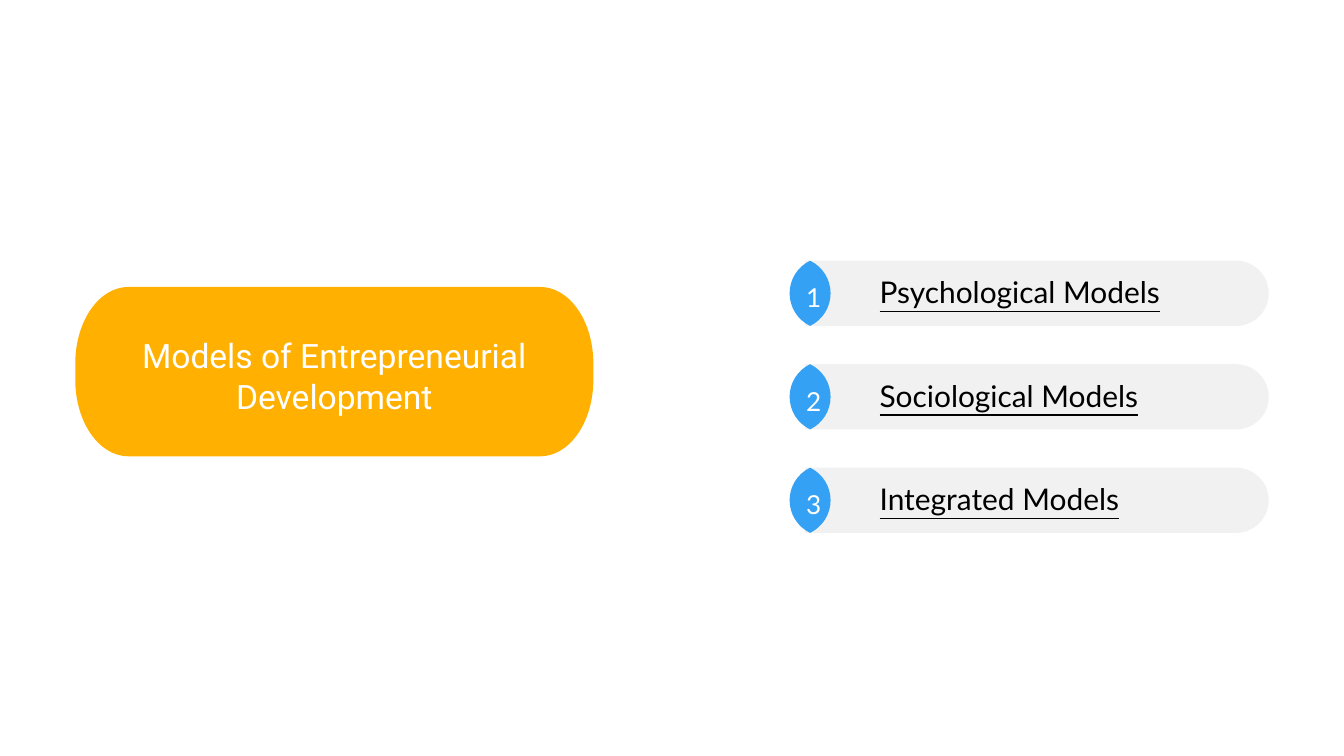
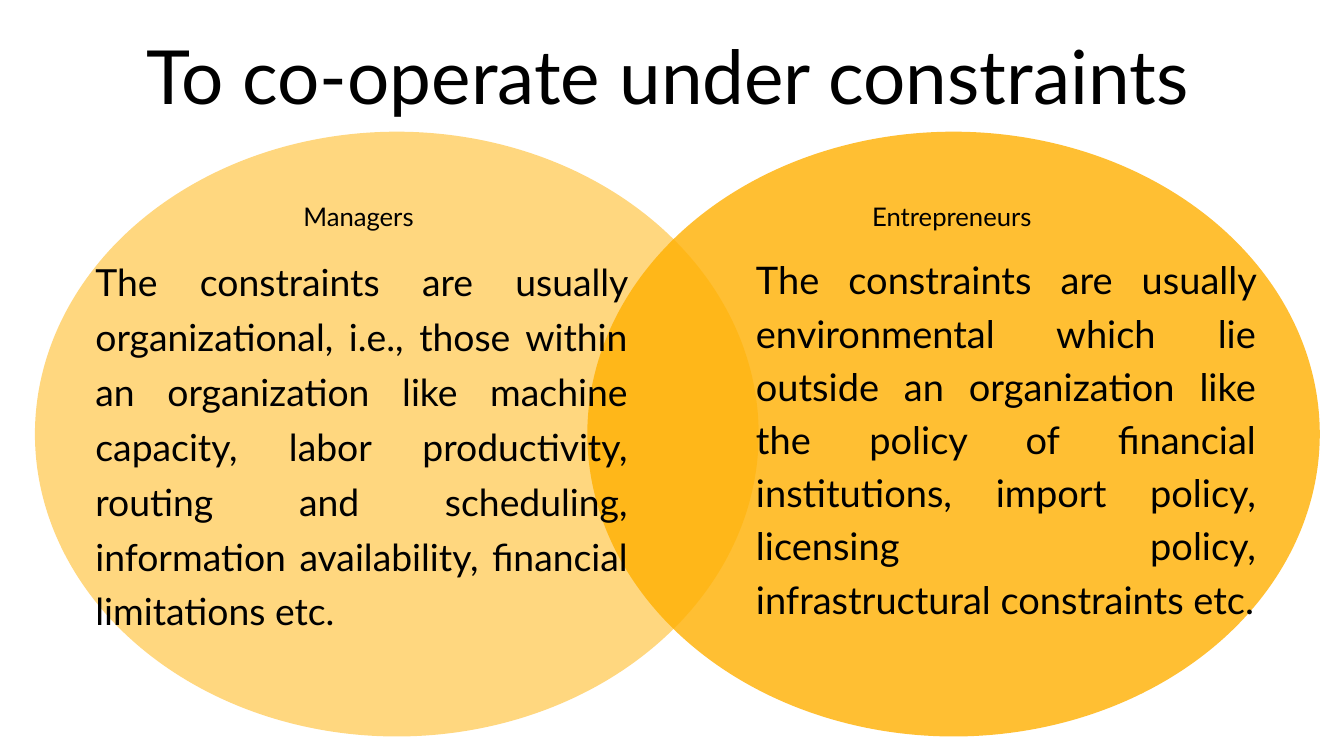
from math import asin, cos, degrees, hypot, radians, sin, tan

from pptx import Presentation
from pptx.dml.color import RGBColor
from pptx.enum.shapes import MSO_SHAPE as Shape
from pptx.enum.text import MSO_ANCHOR as Anchor, MSO_AUTO_SIZE as AutoSize, PP_ALIGN as Align
from pptx.oxml.ns import qn
from pptx.util import Inches, Pt

AMBER = RGBColor(0xFF, 0xB0, 0x01)
BLUE = RGBColor(0x35, 0xA1, 0xF4)
GREY = RGBColor(0xF1, 0xF1, 0xF1)
BLACK = RGBColor(0, 0, 0)
WHITE = RGBColor(0xFF, 0xFF, 0xFF)

BODY_FONT = "Lato"
BANNER_FONT = "Roboto"

MODELS = ["Psychological Models", "Sociological Models", "Integrated Models"]
MANAGERS = (
    "The constraints are usually organizational, i.e., those within an organization "
    "like machine capacity, labor productivity, routing and scheduling, information "
    "availability, financial limitations etc."
)
ENTREPRENEURS = (
    "The constraints are usually environmental which lie outside an organization like "
    "the policy of financial institutions, import policy, licensing policy, "
    "infrastructural constraints etc."
)


def paint(shape, color, opacity=None):
    shape.shadow.inherit = False
    shape.fill.solid()
    shape.fill.fore_color.rgb = color
    shape.line.fill.background()
    if opacity is not None:
        solid = shape.element.find(".//" + qn("a:srgbClr"))
        alpha = solid.makeelement(qn("a:alpha"), {"val": str(opacity * 1000)})
        solid.append(alpha)


def arc(cx, cy, rx, ry, start, end):
    def at(angle, pull=0):
        return (cx + rx * (cos(angle) - pull * sin(angle)),
                cy + ry * (sin(angle) + pull * cos(angle)))

    first, last = radians(start), radians(end)
    middle = (first + last) / 2
    pull = 4 / 3 * tan((middle - first) / 4)
    return [[at(a, pull), at(b, -pull), at(b)]
            for a, b in ((first, middle), (middle, last))]


def add_outline(slide, start, segments, color):
    points = [start] + [point for segment in segments for point in segment]
    corners = [(Inches(x), Inches(y)) for x, y in points]
    builder = slide.shapes.build_freeform(*corners[0], scale=1.0)
    builder.add_line_segments(corners[1:], close=True)
    shape = builder.convert_to_shape()
    steps = iter(list(shape.element.iter(qn("a:lnTo"))))
    for segment in segments:
        first, *others = [next(steps) for _ in segment]
        if others:
            curve = first.makeelement(qn("a:cubicBezTo"), {})
            first.addprevious(curve)
            for step in (first, *others):
                curve.append(step[0])
                step.getparent().remove(step)
    paint(shape, color)


def add_text(slide, box, words, size, color=BLACK, font=BODY_FONT, align=Align.LEFT,
             leading=None, anchor=Anchor.TOP, insets=(0, 0), underline=None,
             tracking=None, grow=True):
    frame = slide.shapes.add_textbox(*map(Inches, box)).text_frame
    frame.word_wrap = True
    frame.auto_size = AutoSize.SHAPE_TO_FIT_TEXT if grow else AutoSize.NONE
    frame.vertical_anchor = anchor
    frame.margin_left = frame.margin_right = Inches(insets[0])
    frame.margin_top = frame.margin_bottom = Inches(insets[1])
    paragraph = frame.paragraphs[0]
    paragraph.alignment = align
    if leading:
        paragraph.line_spacing = Pt(leading)
    run = paragraph.add_run()
    run.text = words
    run.font.size = Pt(size)
    run.font.name = font
    run.font.color.rgb = color
    run.font.underline = underline
    if tracking:
        run.font._element.set("spc", str(round(tracking * 100)))


def add_leaf(slide, left, top, width, height):
    half_w, half_h = width / 2, height / 2
    radius = hypot(half_w, half_h) ** 2 / width
    sweep = degrees(asin(half_h / radius))
    cy = top + half_h
    right_side = arc(left + width - radius, cy, radius, radius, -sweep, sweep)
    left_side = arc(left + radius, cy, radius, radius, 180 - sweep, 180 + sweep)
    add_outline(slide, (left + half_w, top), right_side + left_side, BLUE)


def add_model_row(slide, left, top, number):
    height, bar_left, bar_right = 0.97, left + 0.23, left + 7.13
    radius = height / 2
    cap_x = bar_right - radius
    cap = arc(cap_x, top + radius, radius, radius, -90, 90)
    add_outline(slide, (bar_left, top + height),
                [[(bar_left, top)], [(cap_x, top)]] + cap, GREY)
    add_leaf(slide, left, top, 0.61, height)
    add_text(slide, (left - 0.08, top + 0.18, 0.88, 0.8), str(number), 28, WHITE,
             align=Align.CENTER, leading=28, anchor=Anchor.MIDDLE, insets=(0.06, 0.06),
             tracking=-0.6, grow=False)


def add_banner(slide, left, top, width, height, words):
    rx, ry = 0.79, 1.14
    right, bottom = left + width, top + height
    corners = [(right - rx, top + ry, (right - rx, top)),
               (right - rx, bottom - ry, (right, bottom - ry)),
               (left + rx, bottom - ry, (left + rx, bottom)),
               (left + rx, top + ry, (left, top + ry))]
    segments = []
    for quarter, (cx, cy, entry) in enumerate(corners):
        turn = 90 * (quarter - 1)
        segments += [[entry]] + arc(cx, cy, rx, ry, turn, turn + 90)
    add_outline(slide, (left + rx, top), segments, AMBER)
    add_text(slide, (left - 0.33, top + 0.67, width + 0.66, 1.31), words, 36, WHITE,
             BANNER_FONT, Align.CENTER, insets=(0.1, 0.05))


def add_circle(slide, left, top, width, height, opacity):
    circle = slide.shapes.add_shape(Shape.OVAL, *map(Inches, (left, top, width, height)))
    paint(circle, AMBER, opacity)


def build_models_slide(slide):
    left, top, pitch = 11.75, 3.88, 1.54
    for index in range(len(MODELS)):
        add_model_row(slide, left, top + pitch * index, index + 1)
    for index, label in enumerate(MODELS):
        add_text(slide, (left + 1.34, top + 0.11 + pitch * index, 4.94, 0.6), label, 32,
                 leading=44.8, underline=True)
    add_banner(slide, 1.12, 4.27, 7.71, 2.52, "Models of Entrepreneurial Development")


def build_constraints_slide(slide):
    add_circle(slide, 8.74, 1.96, 10.9, 9, 80)
    add_circle(slide, 0.52, 1.96, 10.77, 9, 50)
    add_text(slide, (11.25, 3.71, 7.44, 6.4), ENTREPRENEURS, 40.7,
             align=Align.JUSTIFY, leading=57)
    add_text(slide, (1.42, 3.71, 7.92, 5.79), MANAGERS, 40,
             align=Align.JUSTIFY, leading=58.8)
    add_text(slide, (2.04, 0.45, 15.79, 2.69), "To co-operate under constraints", 80,
             align=Align.CENTER, leading=96)
    for left, top, heading in ((2.5, 2.87, "Managers"), (11.33, 2.88, "Entrepreneurs")):
        add_text(slide, (left, top, 5.67, 0.54), heading, 27.5,
                 align=Align.CENTER, leading=41.2)


def main():
    deck = Presentation()
    deck.slide_width, deck.slide_height = Inches(20), Inches(11.25)
    for build in (build_models_slide, build_constraints_slide):
        build(deck.slides.add_slide(deck.slide_layouts[6]))
    deck.save("out.pptx")


if __name__ == "__main__":
    main()
